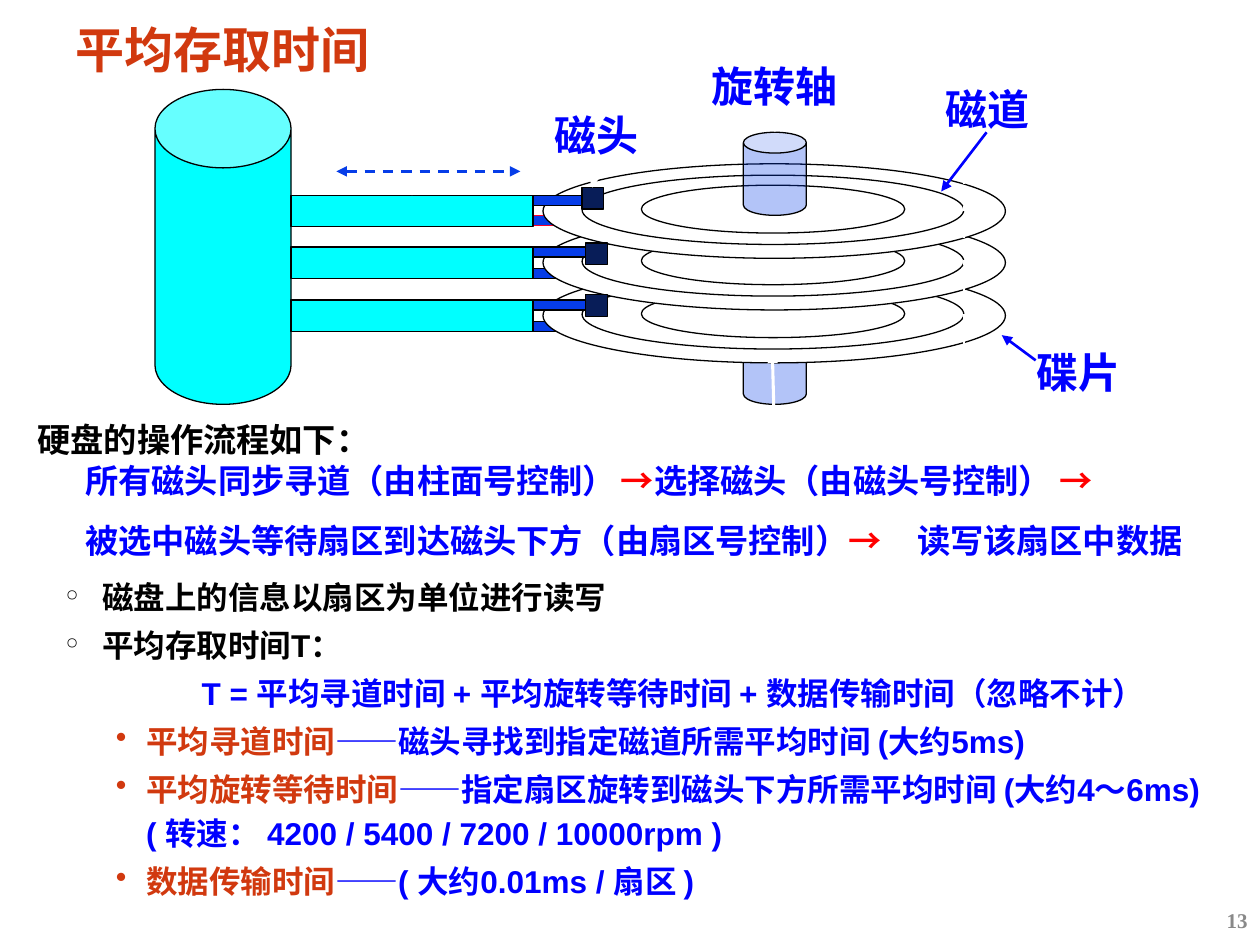
from dataclasses import dataclass

from lxml import etree
from pptx import Presentation
from pptx import util as u
from pptx.dml.color import RGBColor
from pptx.enum import dml, shapes, text
from pptx.oxml import ns

Inches, Pt = u.Inches, u.Pt
SHAPE = shapes.MSO_SHAPE


@dataclass(frozen=True)
class Theme:
    font: str = "Arial"
    number_font: str = "Times New Roman"
    black: str = "000000"
    white: str = "FFFFFF"
    blue: str = "0000FF"
    orange: str = "D1390F"
    red: str = "FF0000"
    gray: str = "898989"
    cyan: str = "00FFFF"
    arm: str = "063DE8"
    head: str = "081D58"
    arm_edge: str = "FC0128"
    title: float = 28
    label: float = 24
    flow: float = 19
    body: float = 18
    number: float = 12


T = Theme()


def rgb(value):
    return RGBColor.from_string(value)


def child(parent, tag, **attrs):
    return etree.SubElement(parent, ns.qn(tag), attrs)


def add_runs(p, runs, size, font=T.font):
    for words, color in runs:
        r = p.add_run()
        r.text = words
        r.font.size = Pt(size)
        r.font.name = font
        r.font.bold = True
        r.font.color.rgb = rgb(color)


def add_box(s, x, y, w, h, inset=(0.1, 0.05)):
    tf = s.shapes.add_textbox(Inches(x), Inches(y), Inches(w), Inches(h)).text_frame
    tf.word_wrap = True
    tf.margin_left = tf.margin_right = Inches(inset[0])
    tf.margin_top = tf.margin_bottom = Inches(inset[1])
    return tf


def add_line_of_text(s, x, y, w, h, runs, size, spacing=1.0, align=None,
                     font=T.font, inset=(0.1, 0.05)):
    tf = add_box(s, x, y, w, h, inset)
    p = tf.paragraphs[0]
    p.line_spacing = spacing
    p.alignment = align
    add_runs(p, runs, size, font)
    return tf


def add_shape(s, kind, x, y, w, h, fill, edge=T.black, adj=None, alpha=None):
    sp = s.shapes.add_shape(kind, Inches(x), Inches(y), Inches(w), Inches(h))
    sp.shadow.inherit = False
    sp.fill.solid()
    sp.fill.fore_color.rgb = rgb(fill)
    sp.line.color.rgb = rgb(edge)
    sp.line.width = Pt(0.75)
    if adj:
        sp.adjustments[0] = adj
    if alpha:
        color = sp.fill._xPr.find(".//" + ns.qn("a:srgbClr"))
        child(color, "a:alpha", val=str(alpha * 1000))


def add_line(s, start, end, color, width, dash=False, ends=("a:tailEnd",)):
    c = s.shapes.add_connector(shapes.MSO_CONNECTOR.STRAIGHT,
                               *map(Inches, start + end))
    c.line.color.rgb = rgb(color)
    c.line.width = Pt(width)
    if dash:
        c.line.dash_style = dml.MSO_LINE.DASH
    for tag in ends:
        child(c.line._get_or_add_ln(), tag, type="triangle")
    child(c._element.spPr, "a:effectLst")


def add_spindle(s, y):
    add_shape(s, SHAPE.CAN, 5.9, y, 0.5, 0.66, T.arm, adj=0.331, alpha=30)


def add_platter(s, y):
    for x, dy, w, h in ((4.31, 0, 3.67, 0.75), (4.62, 0.09, 3.03, 0.55),
                        (5.09, 0.17, 2.09, 0.38)):
        add_shape(s, SHAPE.OVAL, x, y + dy, w, h, T.white)


def add_finger(s, y, edge=T.black):
    add_shape(s, SHAPE.RECTANGLE, 4.23, y, 0.42, 0.08, T.arm, edge)


def add_arm(s, y, head_x, head_y):
    add_shape(s, SHAPE.RECTANGLE, 2.31, y, 1.92, 0.25, T.cyan)
    add_finger(s, y)
    add_shape(s, SHAPE.RECTANGLE, head_x, head_y, 0.17, 0.17, T.head)


def add_disk_drive(s):
    add_spindle(s, 2.55)
    for y, edge in ((2.55, T.black), (2.13, T.black), (1.71, T.arm_edge)):
        add_finger(s, y, edge)
    for y in (2.13, 1.71):
        add_platter(s, y)
    add_shape(s, SHAPE.CAN, 1.23, 0.71, 1.08, 2.5, T.cyan, adj=0.577)
    add_platter(s, 1.3)
    for arm in ((1.55, 4.62, 1.49), (1.96, 4.65, 1.93), (2.38, 4.65, 2.34)):
        add_arm(s, *arm)
    add_spindle(s, 1.05)


def add_annotations(s):
    add_line(s, (7.65, 0.63), (7.65, 3.63), T.white, 0.75, dash=True, ends=())
    for start, end in (((4.73, 1.32), (4.7, 1.49)), ((3.23, 0.96), (3.27, 1.55)),
                       ((6.15, 0.93), (6.15, 1.05)), ((6.15, 3.58), (6.13, 2.8))):
        add_line(s, start, end, T.white, 1.75)
    for words, x, y, w in (("磁头", 3.9, 0.82, 1.67), ("磁道", 7.12, 0.61, 1.44),
                           ("旋转轴", 5.31, 0.43, 1.67), ("碟片", 7.87, 2.7, 1.38)):
        add_line_of_text(s, x, y, w, 0.5, [(words, T.blue)], T.label,
                         align=text.PP_ALIGN.CENTER)
    add_line(s, (8.22, 2.86), (7.95, 2.66), T.blue, 1.5)
    add_line(s, (7.83, 1.05), (7.47, 1.52), T.blue, 1.5)
    add_line(s, (2.67, 1.36), (4.13, 1.36), T.arm, 1.5, dash=True,
             ends=("a:headEnd", "a:tailEnd"))


def add_flow(s):
    for x, y, w, runs in (
        (0.2, 3.23, 2.86, [("硬盘的操作流程如下：", T.black)]),
        (0.58, 3.56, 4.49, [("所有磁头同步寻道（由柱面号控制）", T.blue)]),
        (4.83, 3.56, 4.07, [("→", T.red), ("选择磁头（由磁头号控制）", T.blue),
                            (" →", T.red)]),
        (0.58, 4.03, 6.72, [("被选中磁头等待扇区到达磁头下方（由扇区号控制）", T.blue),
                            ("→", T.red)]),
        (7.18, 4.03, 2.45, [("读写该扇区中数据", T.blue)]),
    ):
        add_line_of_text(s, x, y, w, 0.47, runs, T.flow, spacing=1.15)


def add_body(s):
    top, formula, sub = (0.29, -0.29, "°"), (1.08, 0, None), (0.64, -0.24, "•")
    items = (
        (top, [("磁盘上的信息以扇区为单位进行读写", T.black)]),
        (top, [("平均存取时间T：", T.black)]),
        (formula, [("T = 平均寻道时间 + 平均旋转等待时间 + 数据传输时间（忽略不计）", T.blue)]),
        (sub, [("平均寻道时间", T.orange),
               ("——磁头寻找到指定磁道所需平均时间 (大约5ms)", T.blue)]),
        (sub, [("平均旋转等待时间", T.orange),
               ("——指定扇区旋转到磁头下方所需平均时间 (大约4～6ms)  "
                "( 转速： 4200 / 5400 / 7200 / 10000rpm )", T.blue)]),
        (sub, [("数据传输时间", T.orange), ("——( 大约0.01ms / 扇区 )", T.blue)]),
    )
    tf = add_box(s, 0.45, 4.51, 9.29, 2.72, (0.07, 0.03))
    for i, ((margin, indent, bullet), runs) in enumerate(items):
        p = tf.add_paragraph() if i else tf.paragraphs[0]
        p.line_spacing = 1.15
        if i:
            p.space_before = Pt(2.7)
        pPr = p._p.get_or_add_pPr()
        pPr.set("marL", str(Inches(margin)))
        pPr.set("indent", str(Inches(indent)))
        if bullet:
            child(pPr, "a:buChar", char=bullet)
        add_runs(p, runs, T.body)


def main():
    prs = Presentation()
    prs.slide_width, prs.slide_height = Inches(10), Inches(7.5)
    s = prs.slides.add_slide(prs.slide_layouts[6])
    add_line_of_text(s, 0.53, 0.19, 9.12, 0.46, [("平均存取时间", T.orange)],
                     T.title, spacing=0.87, inset=(0.07, 0.03))
    add_body(s)
    add_disk_drive(s)
    add_annotations(s)
    add_flow(s)
    tf = add_line_of_text(s, 7.75, 7.1, 2.25, 0.4, [("13", T.gray)], T.number,
                          align=text.PP_ALIGN.RIGHT, font=T.number_font)
    tf.vertical_anchor = text.MSO_ANCHOR.MIDDLE
    prs.save("out.pptx")


if __name__ == "__main__":
    main()
